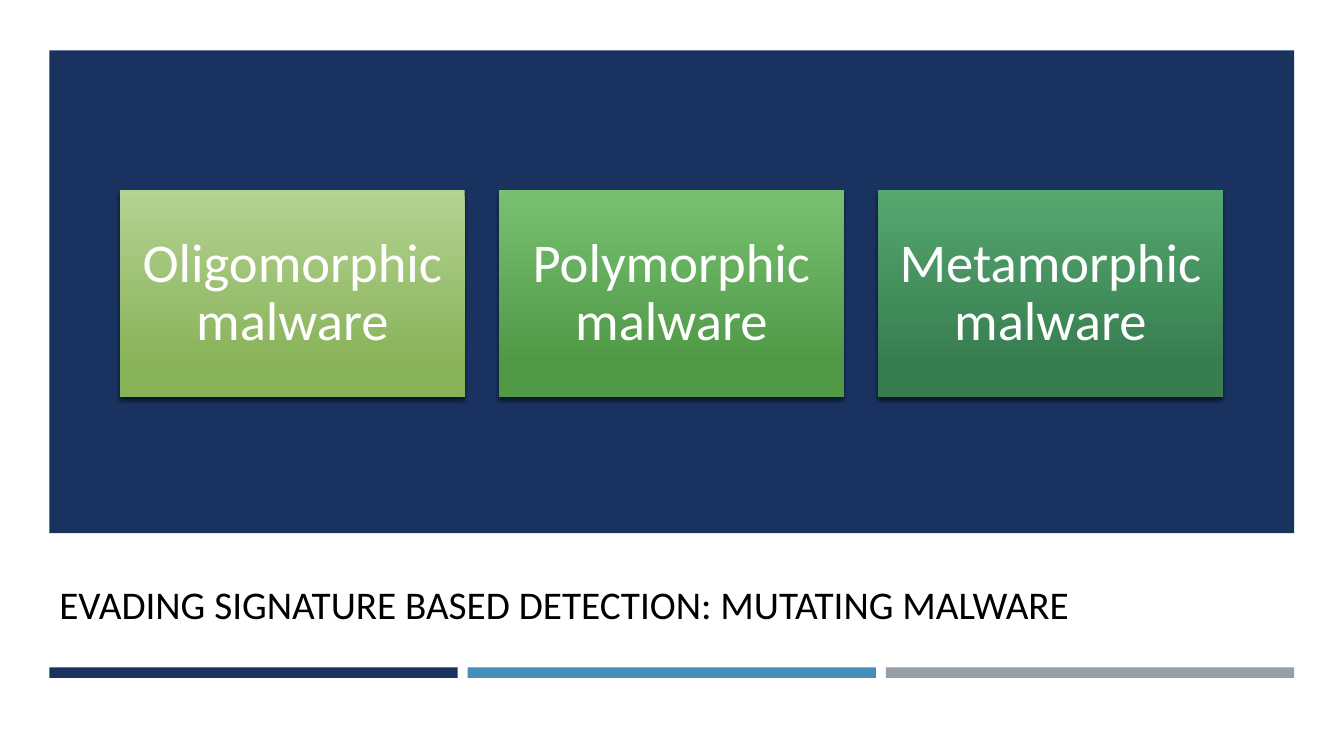
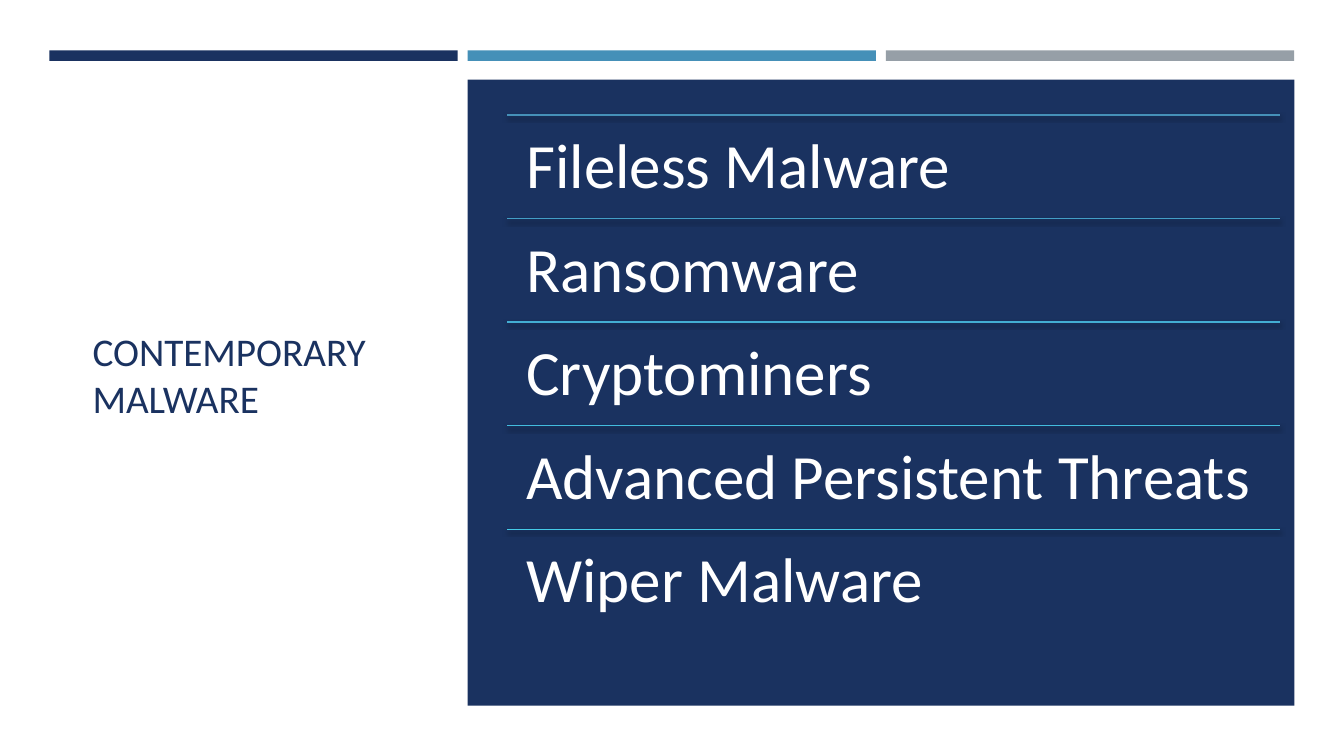
import pptx
import pptx.dml.color
import pptx.enum.shapes
import pptx.enum.text
import pptx.oxml
import pptx.oxml.ns
import pptx.util

COLORS = {
    "white": "FFFFFF",
    "black": "000000",
    "navy": "1A3260",
    "blue": "4590B8",
    "gray": "969FA7",
}
BARS = ("navy", "blue", "gray")
MARGIN = 3.68
BAR_WIDTH = 30.38
BAR_PITCH = 31.12
BAND_WIDTH = 2 * BAR_PITCH + BAR_WIDTH

ANCHOR = pptx.enum.text.MSO_ANCHOR
ALIGN = pptx.enum.text.PP_ALIGN

CARDS = (
    ("Oligomorphic malware", "B4D293", "89B359"),
    ("Polymorphic malware", "77C070", "4F9947"),
    ("Metamorphic malware", "55A770", "377D50"),
)
THREATS = (
    ("Fileless Malware", "4590B8"),
    ("Ransomware", "439EC6"),
    ("Cryptominers", "43ADD2"),
    ("Advanced Persistent Threats", "43BCDE"),
    ("Wiper Malware", "45CBE8"),
)


def rgb(color):
    return pptx.dml.color.RGBColor.from_string(COLORS.get(color, color))


class Deck:
    font = "Calibri"
    title_size = 28

    def __init__(self):
        self.presentation = pptx.Presentation()
        self.presentation.slide_width = pptx.util.Inches(13.33)
        self.presentation.slide_height = pptx.util.Inches(7.5)
        self.slide = None

    def new_slide(self):
        layout = self.presentation.slide_layouts[6]
        self.slide = self.presentation.slides.add_slide(layout)
        fill = self.slide.background.fill
        fill.solid()
        fill.fore_color.rgb = rgb("white")

    def place(self, *percents):
        sizes = (self.presentation.slide_width, self.presentation.slide_height) * 2
        return [round(size * percent / 100) for size, percent in zip(sizes, percents)]

    def rectangle(self, left, top, width, height):
        shape = self.slide.shapes.add_shape(
            pptx.enum.shapes.MSO_SHAPE.RECTANGLE, *self.place(left, top, width, height))
        shape.shadow.inherit = False
        shape.line.fill.background()
        return shape

    def panel(self, left, top, width, height, color="navy"):
        shape = self.rectangle(left, top, width, height)
        shape.fill.solid()
        shape.fill.fore_color.rgb = rgb(color)

    def bars(self, top):
        for index, color in enumerate(BARS):
            self.panel(MARGIN + index * BAR_PITCH, top, BAR_WIDTH, 1.4, color)

    def cast_shadow(self, shape):
        properties = shape._element.spPr
        for effects in properties.findall(pptx.oxml.ns.qn("a:effectLst")):
            properties.remove(effects)
        properties.append(pptx.oxml.parse_xml(
            f'<a:effectLst {pptx.oxml.ns.nsdecls("a")}>'
            '<a:outerShdw blurRad="38100" dist="25400" dir="5400000" rotWithShape="0">'
            f'<a:srgbClr val="{COLORS["black"]}"><a:alpha val="55000"/></a:srgbClr>'
            '</a:outerShdw></a:effectLst>'))

    def add_text(self, shape, text, size, color, anchor,
                 align=ALIGN.LEFT, inset=None, spacing=1.0):
        frame = shape.text_frame
        frame.word_wrap = True
        frame.vertical_anchor = anchor
        if inset is not None:
            frame.margin_left = frame.margin_right = pptx.util.Inches(inset)
            frame.margin_top = frame.margin_bottom = pptx.util.Inches(inset)
        paragraph = frame.paragraphs[0]
        paragraph.alignment = align
        paragraph.line_spacing = spacing
        run = paragraph.add_run()
        run.text = text
        run.font.name = self.font
        run.font.size = pptx.util.Pt(size)
        run.font.color.rgb = rgb(color)

    def text_box(self, left, top, width, height):
        return self.slide.shapes.add_textbox(*self.place(left, top, width, height))

    def title(self, text, left, top, width, height, color):
        box = self.text_box(left, top, width, height)
        self.add_text(box, text, self.title_size, color, ANCHOR.MIDDLE)

    def card(self, text, left, top, width, height, start, end):
        shape = self.rectangle(left, top, width, height)
        shape.fill.gradient()
        shape.fill.gradient_angle = 270
        for stop, position, color in zip(shape.fill.gradient_stops, (0, 0.84), (start, end)):
            stop.position = position
            stop.color.rgb = rgb(color)
        self.cast_shadow(shape)
        self.add_text(shape, text, 39, "white", ANCHOR.MIDDLE, ALIGN.CENTER, 0.16, 0.9)

    def ruled_row(self, text, left, top, width, height, color):
        x, y, length, _ = self.place(left, top, width, height)
        line = self.slide.shapes.add_connector(
            pptx.enum.shapes.MSO_CONNECTOR.STRAIGHT, x, y, x + length, y)
        line.line.color.rgb = rgb(color)
        line.line.width = pptx.util.Pt(1)
        self.cast_shadow(line)
        box = self.text_box(left, top, width, height)
        self.add_text(box, text, 45, "white", ANCHOR.TOP, inset=0.19, spacing=0.9)

    def mutating_malware(self):
        self.new_slide()
        self.title("EVADING SIGNATURE BASED DETECTION: MUTATING MALWARE",
                   MARGIN, 72.93, BAND_WIDTH, 13.87, "black")
        self.panel(MARGIN, 6.67, BAND_WIDTH, 63.87)
        self.bars(88.27)
        for index, (text, start, end) in enumerate(CARDS):
            self.card(text, 8.93 + index * 28.2, 25.2, 25.65, 27.33, start, end)

    def contemporary_malware(self):
        self.new_slide()
        self.title("CONTEMPORARY MALWARE", 6.15, 15.2, 25.05, 68.67, "navy")
        self.bars(6.67)
        self.panel(MARGIN + BAR_PITCH, 10.53, BAR_PITCH + BAR_WIDTH, 82.8)
        for index, (text, color) in enumerate(THREATS):
            self.ruled_row(text, 37.73, 15.2 + index * 13.7, 57.53, 13.7, color)


def main():
    deck = Deck()
    deck.mutating_malware()
    deck.contemporary_malware()
    deck.presentation.save("out.pptx")


if __name__ == "__main__":
    main()
